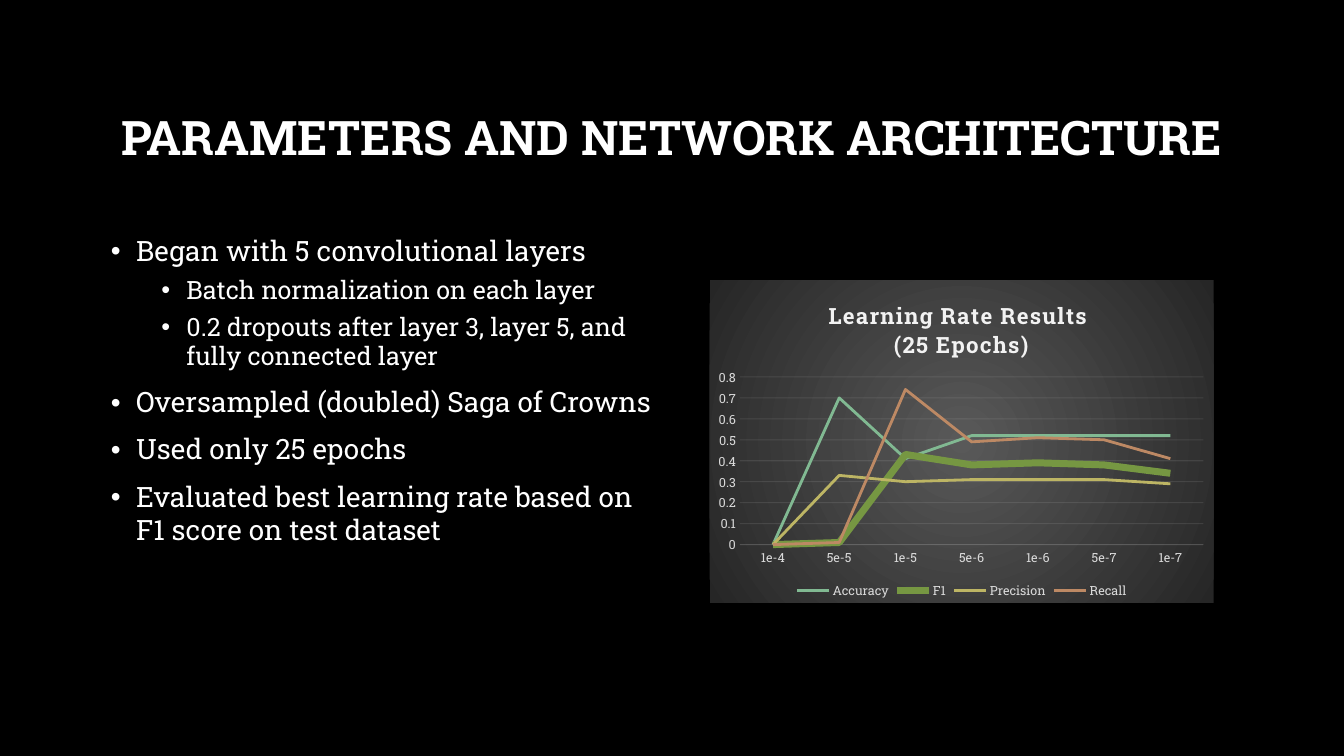
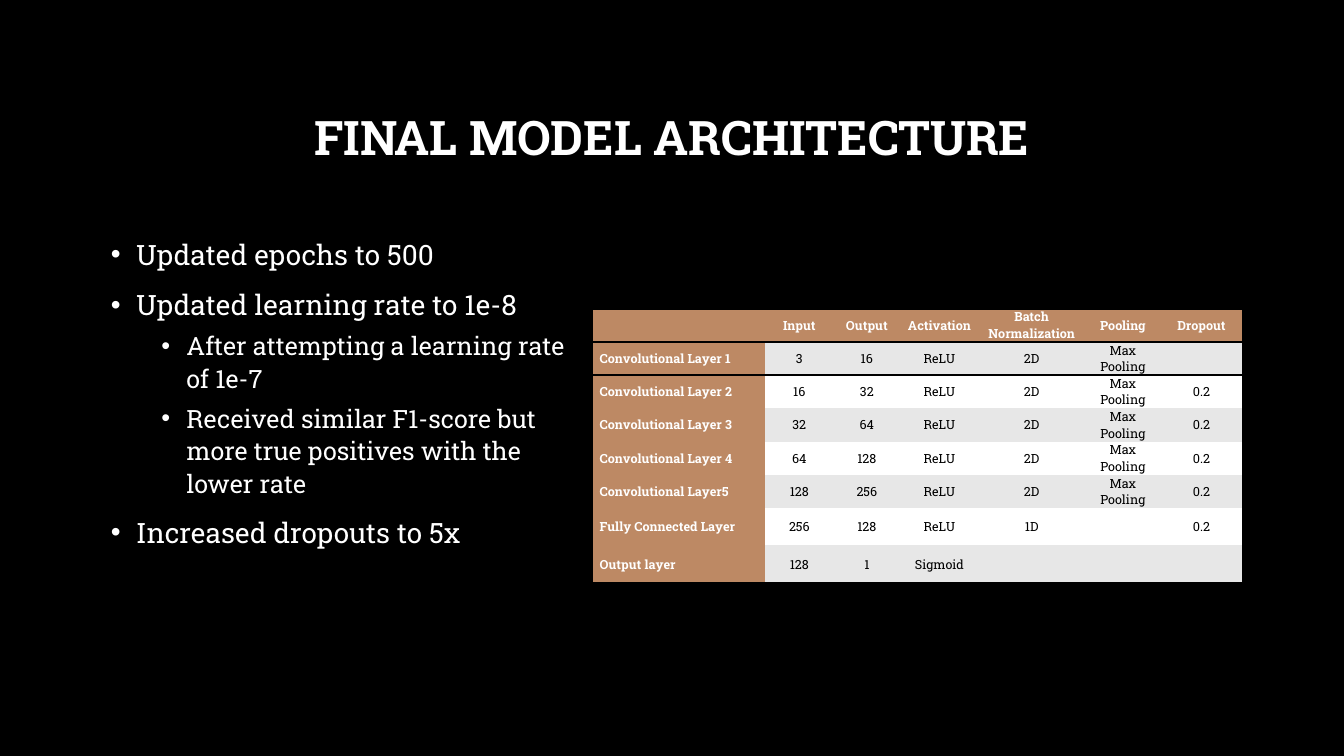
from dataclasses import dataclass

from lxml.etree import SubElement
from pptx import Presentation
from pptx.chart.data import CategoryChartData
from pptx.dml.color import RGBColor
from pptx.enum.chart import XL_CHART_TYPE as ChartType
from pptx.enum.chart import XL_LEGEND_POSITION as LegendPosition
from pptx.enum.chart import XL_TICK_MARK as TickMark
from pptx.enum.text import MSO_ANCHOR as Anchor
from pptx.enum.text import MSO_AUTO_SIZE as AutoSize
from pptx.enum.text import PP_ALIGN as Align
from pptx.oxml import parse_xml
from pptx.oxml.ns import nsdecls, qn
from pptx.util import Inches, Pt


@dataclass(frozen=True)
class Theme:
    """Colours, font and type sizes shared by the slides."""
    font: str = "Roboto Slab"
    background: str = "000000"
    text: str = "FFFFFF"
    accent: str = "BD8964"
    band: str = "E7E7E7"
    axis_line: str = "F2F2F2"
    axis_text: str = "D9D9D9"
    chart_center: str = "595959"
    chart_edge: str = "262626"
    title_size: int = 34
    list_sizes: tuple = (20, 18)
    chart_title_size: int = 16
    small_size: int = 9


THEME = Theme()
COLUMNS, ROWS = 40, 22.5
UNIT = 1 / 3
NO_STYLE_NO_GRID = "{2D5ABB26-0587-4C30-8999-92F81FD0307C}"

TITLE_AREA = (3, 2, 34, 4.35)
LEARNING_LIST_AREA = (3, 6.84, 16.74, 12.15)
MODEL_LIST_AREA = (3, 6.84, 14.64, 12.15)
CHART_AREA = (21.12, 8.34, 15, 9.6)
TABLE_AREA = (17.64, 9.18, 19.32, 8.16)

LEARNING_LIST = [
    (0, "Began with 5 convolutional layers"),
    (1, "Batch normalization on each layer"),
    (1, "0.2 dropouts after layer 3, layer 5, and fully connected layer"),
    (0, "Oversampled (doubled) Saga of Crowns"),
    (0, "Used only 25 epochs"),
    (0, "Evaluated best learning rate based on F1 score on test dataset"),
]
MODEL_LIST = [
    (0, "Updated epochs to 500"),
    (0, "Updated learning rate to 1e-8"),
    (1, "After attempting a learning rate \vof 1e-7"),
    (1, "Received similar F1-score but more true positives with the lower rate"),
    (0, "Increased dropouts to 5x"),
]
LEARNING_RATES = ["1e-4", "5e-5", "1e-5", "5e-6", "1e-6", "5e-7", "1e-7"]
SCORES = [
    ("Accuracy", "81B992", 2, [0, 0.7, 0.41, 0.52, 0.52, 0.52, 0.52]),
    ("F1", "769742", 5, [0, 0.01, 0.43, 0.38, 0.39, 0.38, 0.34]),
    ("Precision", "BDB564", 2, [0, 0.33, 0.3, 0.31, 0.31, 0.31, 0.29]),
    ("Recall", "BD8964", 2, [0, 0.01, 0.74, 0.49, 0.51, 0.5, 0.41]),
]
LAYERS = [
    ["", "Input", "Output", "Activation", "Batch Normalization", "Pooling", "Dropout"],
    ["Convolutional Layer 1", "3", "16", "ReLU", "2D", "Max Pooling", ""],
    ["Convolutional Layer 2", "16", "32", "ReLU", "2D", "Max Pooling", "0.2"],
    ["Convolutional Layer 3", "32", "64", "ReLU", "2D", "Max Pooling", "0.2"],
    ["Convolutional Layer 4", "64", "128", "ReLU", "2D", "Max Pooling", "0.2"],
    ["Convolutional Layer5", "128", "256", "ReLU", "2D", "Max Pooling", "0.2"],
    ["Fully Connected Layer", "256", "128", "ReLU", "1D", "", "0.2"],
    ["Output layer", "128", "1", "Sigmoid", "", "", ""],
]
LAYER_WIDTHS = [1.71, 0.68, 0.66, 0.78, 1.05, 0.76, 0.8]
LAYER_HEIGHTS = [0.33] * 6 + [0.37] * 2


def grid(*cells):
    """Turn grid columns and rows into lengths."""
    return [Inches(cell * UNIT) for cell in cells]


def rgb(value):
    """Return a colour from its hex digits."""
    return RGBColor.from_string(value)


def style_font(font, size, color=THEME.text, bold=False):
    """Apply the theme font with a size, colour and weight."""
    font.name = THEME.font
    font.size = Pt(size)
    font.bold = bold
    font.color.rgb = rgb(color)


def place(shape, area):
    """Move a placeholder to an area of the grid."""
    shape.left, shape.top, shape.width, shape.height = grid(*area)


def add_titled_slide(presentation, title):
    """Add a slide with the shared title style."""
    slide = presentation.slides.add_slide(presentation.slide_layouts[1])
    shape = slide.shapes.title
    place(shape, TITLE_AREA)
    frame = shape.text_frame
    frame.text = title
    frame.auto_size = AutoSize.NONE
    frame.vertical_anchor = Anchor.MIDDLE
    paragraph = frame.paragraphs[0]
    paragraph.alignment = Align.CENTER
    paragraph.line_spacing = 0.9
    style_font(paragraph.runs[0].font, THEME.title_size, bold=True)
    return slide


def set_bullet(paragraph, level):
    """Give a paragraph a hanging round bullet."""
    properties = paragraph._p.get_or_add_pPr()
    properties.set("marL", str(Inches(0.25 + 0.5 * level)))
    properties.set("indent", str(Inches(-0.25)))
    SubElement(properties, qn("a:buFont"), typeface="Arial")
    SubElement(properties, qn("a:buChar"), char="•")


def fill_list(slide, area, items, line_spacing):
    """Write a two-level bullet list in the body placeholder."""
    body = slide.placeholders[1]
    place(body, area)
    frame = body.text_frame
    frame.auto_size = AutoSize.NONE
    frame.vertical_anchor = Anchor.TOP
    for index, (level, text) in enumerate(items):
        paragraph = frame.add_paragraph() if index else frame.paragraphs[0]
        paragraph.text = text
        paragraph.level = level
        paragraph.line_spacing = line_spacing
        paragraph.space_before = Pt(5 if level else 10)
        set_bullet(paragraph, level)
        for run in paragraph.runs:
            style_font(run.font, THEME.list_sizes[level])


def set_layout(element, **settings):
    """Fill a chart element's manual layout."""
    layout = element.find(qn("c:layout"))
    if layout is None:
        layout = element.makeelement(qn("c:layout"))
        text = element.find(qn("c:tx"))
        if text is None:
            element.insert(0, layout)
        else:
            text.addnext(layout)
    manual = SubElement(layout, qn("c:manualLayout"))
    for name, value in settings.items():
        SubElement(manual, qn(f"c:{name}"), val=str(value))


def style_line(line, color, width, opacity=100):
    """Colour a line, with an opacity in percent."""
    line.color.rgb = rgb(color)
    line.width = Pt(width)
    if opacity < 100:
        for element in line._get_or_add_ln().iter(qn("a:srgbClr")):
            SubElement(element, qn("a:alpha"), val=str(opacity * 1000))


def fill_chart_area(chart):
    """Fill the chart's background with a round gradient."""
    properties = parse_xml(
        f'<c:spPr {nsdecls("c", "a")}><a:gradFill><a:gsLst>'
        f'<a:gs pos="0"><a:srgbClr val="{THEME.chart_center}"/></a:gs>'
        f'<a:gs pos="100000"><a:srgbClr val="{THEME.chart_edge}"/></a:gs></a:gsLst>'
        '<a:path path="circle"><a:fillToRect l="50000" t="50000" r="50000" b="50000"/></a:path>'
        '</a:gradFill><a:ln><a:noFill/></a:ln></c:spPr>')
    chart._chartSpace.find(qn("c:chart")).addnext(properties)


def style_chart_title(chart, lines):
    """Write the chart's title in spaced bold type."""
    frame = chart.chart_title.text_frame
    frame.text = "\n".join(lines)
    chart.chart_title.include_in_layout = False
    for paragraph in frame.paragraphs:
        for run in paragraph.runs:
            style_font(run.font, THEME.chart_title_size, THEME.axis_line, bold=True)
            run.font._element.set("spc", "100")
    set_layout(chart.chart_title._element, xMode="edge", yMode="edge", x=0.23, y=0.05)


def style_axes(chart):
    """Style both axes and the gridlines."""
    for axis in (chart.category_axis, chart.value_axis):
        axis.major_tick_mark = axis.minor_tick_mark = TickMark.NONE
        style_font(axis.tick_labels.font, THEME.small_size, THEME.axis_text)
    style_line(chart.category_axis.format.line, THEME.axis_line, 0.75, 10)
    values = chart.value_axis
    values.minimum_scale, values.maximum_scale, values.major_unit = 0, 0.8, 0.1
    values.format.line.fill.background()
    style_line(values.major_gridlines.format.line, THEME.axis_line, 0.75, 10)


def add_score_chart(slide, area):
    """Add the line chart of scores by learning rate."""
    data = CategoryChartData()
    data.categories = LEARNING_RATES
    for name, _, _, values in SCORES:
        data.add_series(name, values)
    chart = slide.shapes.add_chart(ChartType.LINE, *grid(*area), data).chart
    style_font(chart.font, 10)
    fill_chart_area(chart)
    style_chart_title(chart, ["Learning Rate Results ", "(25 Epochs)"])
    style_axes(chart)
    chart.has_legend = True
    chart.legend.position = LegendPosition.BOTTOM
    chart.legend.include_in_layout = False
    style_font(chart.legend.font, THEME.small_size, THEME.axis_text)
    plot = chart.plots[0]
    plot.vary_by_categories = False
    for series, (_, color, width, _) in zip(plot.series, SCORES):
        series.smooth = False
        style_line(series.format.line, color, width)
    set_layout(chart._chartSpace.chart.plotArea, layoutTarget="inner", xMode="edge",
               yMode="edge", x=0.06, y=0.3, w=0.92, h=0.52)


def add_border(cell, sides):
    """Draw a border on the given sides of a cell."""
    properties = cell._tc.get_or_add_tcPr()
    for index, side in enumerate(sides):
        properties.insert(index, parse_xml(
            f'<a:ln{side} {nsdecls("a")} w="{Pt(2)}"><a:solidFill>'
            f'<a:srgbClr val="{THEME.background}"/></a:solidFill></a:ln{side}>'))


def fill_cell(cell, text, row, column):
    """Write and colour one cell by its place in the table."""
    heading = row == 0 or column == 0
    color = THEME.accent if heading else (THEME.band if row % 2 else THEME.text)
    cell.fill.solid()
    cell.fill.fore_color.rgb = rgb(color)
    cell.margin_left = cell.margin_right = Inches(0.07)
    cell.margin_top = cell.margin_bottom = 0
    cell.vertical_anchor = Anchor.MIDDLE
    paragraph = cell.text_frame.paragraphs[0]
    paragraph.alignment = Align.CENTER if column else Align.LEFT
    run = paragraph.add_run()
    run.text = text
    style_font(run.font, THEME.small_size, THEME.text if heading else THEME.background, heading)


def add_layer_table(slide, area):
    """Add the table of network layers."""
    shape = slide.shapes.add_table(len(LAYERS), len(LAYER_WIDTHS), *grid(*area))
    table = shape.table
    table._tbl.tblPr.find(qn("a:tableStyleId")).text = NO_STYLE_NO_GRID
    for column, width in zip(table.columns, LAYER_WIDTHS):
        column.width = Inches(width)
    for row, height in zip(table.rows, LAYER_HEIGHTS):
        row.height = Inches(height)
    borders = {0: "TB", 1: "T", len(LAYERS) - 1: "B"}
    for row, texts in enumerate(LAYERS):
        for column, text in enumerate(texts):
            cell = table.cell(row, column)
            fill_cell(cell, text, row, column)
            add_border(cell, borders.get(row, ""))


def main():
    """Build and save the presentation."""
    presentation = Presentation()
    presentation.slide_width, presentation.slide_height = grid(COLUMNS, ROWS)
    background = presentation.slide_master.background.fill
    background.solid()
    background.fore_color.rgb = rgb(THEME.background)

    slide = add_titled_slide(presentation, "PARAMETERS AND NETWORK ARCHITECTURE")
    fill_list(slide, LEARNING_LIST_AREA, LEARNING_LIST, 0.99)
    add_score_chart(slide, CHART_AREA)

    slide = add_titled_slide(presentation, "FINAL MODEL ARCHITECTURE")
    fill_list(slide, MODEL_LIST_AREA, MODEL_LIST, 1.08)
    add_layer_table(slide, TABLE_AREA)

    presentation.save("out.pptx")


if __name__ == "__main__":
    main()
